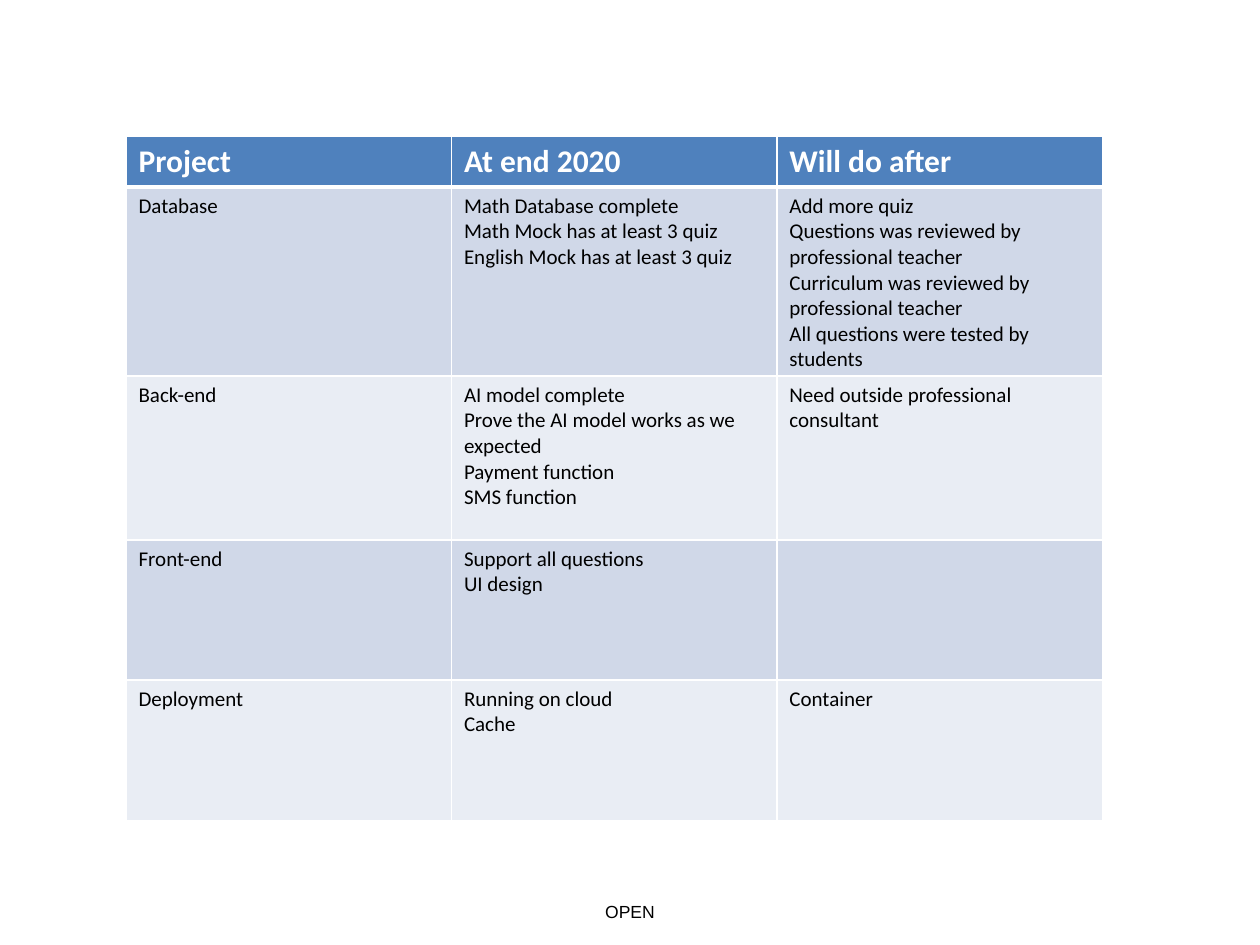
from lxml.etree import SubElement as Sub
from pptx import Presentation
from pptx.dml.color import RGBColor as Rgb
from pptx.enum.text import PP_ALIGN as Align
from pptx.oxml.ns import qn
from pptx.util import Cm, Pt

HUES = {"head": "4F81BD", "odd": "D0D8E8", "even": "E9EDF4",
        "white": "FFFFFF", "black": "000000"}
HEAD = {"name": "Calibri", "size": Pt(18), "bold": True}
BODY = {"name": "Calibri", "size": Pt(12), "bold": False}
FOOT = {"name": "Arial", "size": Pt(10), "bold": False}

ROWS = [
    ("Project", "At end 2020", "Will do after"),
    ("Database",
     "Math Database complete\nMath Mock has at least 3 quiz\n"
     "English Mock has at least 3 quiz",
     "Add more quiz\nQuestions was reviewed by professional teacher\n"
     "Curriculum was reviewed by professional teacher\n"
     "All questions were tested by students"),
    ("Back-end",
     "AI model complete\nProve the AI model works as we expected\n"
     "Payment function\nSMS function",
     "Need outside professional consultant"),
    ("Front-end", "Support all questions\nUI design", ""),
    ("Deployment", "Running on cloud\nCache", "Container"),
]
HIGH = [1.02, 3.8, 3.3, 2.83, 2.83]
WIDE = 6.56


def write(frame, text, look, hue):
    """Fill a text frame and style every paragraph."""
    frame.text = text
    for para in frame.paragraphs:
        for key, val in look.items():
            setattr(para.font, key, val)
        para.font.color.rgb = Rgb.from_string(HUES[hue])


def edge(cell, side, width):
    """Draw one white cell border."""
    line = Sub(cell._tc.get_or_add_tcPr(), qn(f"a:ln{side}"), w=str(Pt(width)))
    fill = Sub(line, qn("a:solidFill"))
    Sub(fill, qn("a:srgbClr"), val=HUES["white"])


# Slide
deck = Presentation()
deck.slide_width, deck.slide_height = Cm(25.4), Cm(19.05)
slide = deck.slides.add_slide(deck.slide_layouts[6])

# Footer label
label = slide.shapes.add_textbox(Cm(0), Cm(18.03), Cm(25.4), Cm(1.12)).text_frame
label.word_wrap = True
write(label, "OPEN", FOOT, "black")
label.paragraphs[0].alignment = Align.CENTER

# Project table
table = slide.shapes.add_table(len(ROWS), 3, Cm(2.54), Cm(2.75),
                               Cm(3 * WIDE), Cm(sum(HIGH))).table
for col in table.columns:
    col.width = Cm(WIDE)

for r, (row, high) in enumerate(zip(ROWS, HIGH)):
    table.rows[r].height = Cm(high)
    band = "head" if r == 0 else "odd" if r % 2 else "even"
    look, hue = (BODY, "black") if r else (HEAD, "white")
    for c, text in enumerate(row):
        cell = table.cell(r, c)
        write(cell.text_frame, text, look, hue)
        for side in "LRTB":
            thick = (r, side) in [(0, "B"), (1, "T")]
            edge(cell, side, 3 if thick else 1)
        cell.fill.solid()
        cell.fill.fore_color.rgb = Rgb.from_string(HUES[band])

deck.save("out.pptx")
